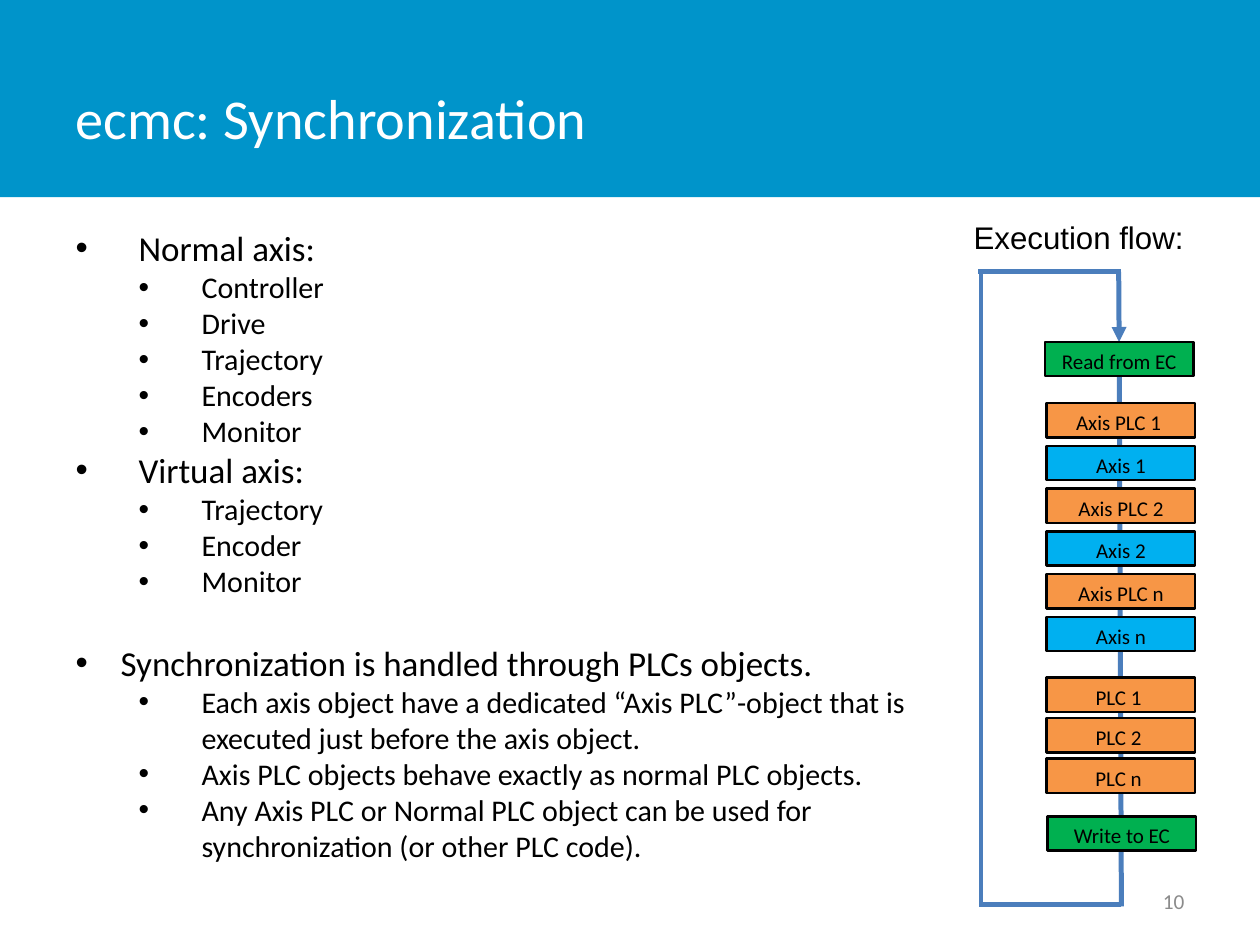
from dataclasses import dataclass

from lxml import etree
from pptx import Presentation
from pptx.dml.color import RGBColor
from pptx.enum.shapes import MSO_CONNECTOR, MSO_SHAPE
from pptx.enum.text import MSO_ANCHOR, MSO_AUTO_SIZE, PP_ALIGN
from pptx.oxml.ns import qn
from pptx.util import Inches, Pt

RECT = MSO_SHAPE.RECTANGLE
STRAIGHT = MSO_CONNECTOR.STRAIGHT
TOP, MIDDLE = MSO_ANCHOR.TOP, MSO_ANCHOR.MIDDLE
LEFT, CENTER, RIGHT = PP_ALIGN.LEFT, PP_ALIGN.CENTER, PP_ALIGN.RIGHT
TOP_SIDE = 0


@dataclass(frozen=True)
class Theme:
    banner: str = "0094CA"
    flow: str = "4B7EBC"
    bus: str = "00B050"
    plc: str = "F79646"
    axis: str = "00B0F0"
    ink: str = "000000"
    paper: str = "FFFFFF"
    muted: str = "8B8B8B"
    body_font: str = "Calibri"
    label_font: str = "Arial"
    title_size: float = 45
    topic_size: float = 28
    detail_size: float = 24
    label_size: float = 25
    step_size: float = 16.8
    number_size: float = 17
    flow_width: float = 4
    border_width: float = 2


def write(paragraph, text, *, size, color, font, align=LEFT, level=0,
          indent=None, hanging=0, before=0):
    paragraph.alignment = align
    paragraph.level = level
    if before:
        paragraph.space_before = Pt(before)
    if indent is not None:
        properties = paragraph._p.get_or_add_pPr()
        properties.set("marL", str(Inches(indent)))
        properties.set("indent", str(-Inches(hanging)))
        etree.SubElement(properties, qn("a:buFont")).set("typeface", "Arial")
        etree.SubElement(properties, qn("a:buChar")).set("char", "•")
    run = paragraph.add_run()
    run.text = text
    run.font.size = Pt(size)
    run.font.name = font
    run.font.color.rgb = RGBColor.from_string(color)


class FlowSlide:
    def __init__(self, slide, theme):
        self.slide = slide
        self.theme = theme

    def set_frame(self, frame, inset_x, inset_y, anchor=TOP):
        frame.margin_left = frame.margin_right = Inches(inset_x)
        frame.margin_top = frame.margin_bottom = Inches(inset_y)
        frame.vertical_anchor = anchor
        frame.word_wrap = True

    def rectangle(self, x, y, width, height, fill):
        rectangle = self.slide.shapes.add_shape(
            RECT, Inches(x), Inches(y), Inches(width), Inches(height))
        rectangle.shadow.inherit = False
        rectangle.fill.solid()
        rectangle.fill.fore_color.rgb = RGBColor.from_string(fill)
        rectangle.line.fill.background()
        return rectangle

    def step(self, x, y, label, fill):
        step = self.rectangle(x, y, 1.65, 0.38, fill)
        step.line.color.rgb = RGBColor.from_string(self.theme.ink)
        step.line.width = Pt(self.theme.border_width)
        self.set_frame(step.text_frame, 0.13, 0.07)
        write(step.text_frame.paragraphs[0], label, size=self.theme.step_size,
              color=self.theme.ink, font=self.theme.body_font, align=CENTER)
        return step

    def text_area(self, x, y, width, height, anchor=TOP):
        area = self.slide.shapes.add_textbox(
            Inches(x), Inches(y), Inches(width), Inches(height))
        self.set_frame(area.text_frame, 0.14, 0.07, anchor)
        return area.text_frame

    def line_of_text(self, x, y, width, height, text, **text_format):
        frame = self.text_area(x, y, width, height, MIDDLE)
        write(frame.paragraphs[0], text, font=self.theme.body_font, **text_format)

    def label(self, x, y, width, height, text):
        frame = self.text_area(x, y, width, height)
        self.set_frame(frame, 0.1, 0.05)
        frame.word_wrap = False
        frame.auto_size = MSO_AUTO_SIZE.SHAPE_TO_FIT_TEXT
        write(frame.paragraphs[0], text, size=self.theme.label_size,
              color=self.theme.ink, font=self.theme.label_font)

    def outline(self, x, y, width, height, topics):
        frame = self.text_area(x, y, width, height)
        style = {"color": self.theme.ink, "font": self.theme.body_font}
        paragraph = frame.paragraphs[0]
        for topic, indent, before, details in topics:
            if paragraph is None:
                paragraph = frame.add_paragraph()
            write(paragraph, topic, size=self.theme.topic_size, indent=indent,
                  hanging=indent, before=before, **style)
            for detail in details:
                write(frame.add_paragraph(), detail, size=self.theme.detail_size,
                      level=1, indent=1.4, hanging=0.7, **style)
            paragraph = None

    def flow_line(self, start, end, arrow=False):
        line = self.slide.shapes.add_connector(
            STRAIGHT, *(Inches(value) for value in (*start, *end)))
        line.line.color.rgb = RGBColor.from_string(self.theme.flow)
        line.line.width = Pt(self.theme.flow_width)
        if arrow:
            head = etree.SubElement(line.line._get_or_add_ln(), qn("a:tailEnd"))
            head.set("type", "triangle")
        etree.SubElement(line._element.spPr, qn("a:effectLst"))
        return line


TOPICS = [
    ("Normal axis:", 0.7, 0,
     ["Controller", "Drive", "Trajectory", "Encoders", "Monitor"]),
    ("Virtual axis:", 0.7, 0, ["Trajectory", "Encoder", "Monitor"]),
    ("Synchronization is handled through PLCs objects.", 0.5, 34, [
        "Each axis object have a dedicated “Axis PLC”-object that is "
        "executed just before the axis object.",
        "Axis PLC objects behave exactly as normal PLC objects.",
        "Any Axis PLC or Normal PLC object can be used for "
        "synchronization (or other PLC code).",
    ]),
]


def main():
    theme = Theme()
    deck = Presentation()
    deck.slide_width, deck.slide_height = Inches(14), Inches(10.5)
    page = FlowSlide(deck.slides.add_slide(deck.slide_layouts[6]), theme)

    page.rectangle(0, 0, 14, 2.19, theme.banner)
    spine = page.flow_line((12.43, 3.8), (12.46, 10.07))
    page.line_of_text(0.7, 0.42, 10.93, 1.75, "ecmc: Synchronization",
                      size=theme.title_size, color=theme.paper)
    page.outline(0.7, 2.45, 10.06, 6.93, TOPICS)
    page.line_of_text(10.03, 9.73, 3.27, 0.56, "10", size=theme.number_size,
                      color=theme.muted, align=RIGHT)

    axis_steps = [("Axis PLC 1 ", theme.plc), ("Axis 1", theme.axis),
                  ("Axis PLC 2", theme.plc), ("Axis 2", theme.axis),
                  ("Axis PLC n", theme.plc), ("Axis n", theme.axis)]
    for row, (name, fill) in enumerate(axis_steps):
        page.step(11.63, 4.48 + 0.475 * row, name, fill)
    for row, name in enumerate(["PLC 1 ", "PLC 2 ", "PLC n "]):
        page.step(11.63, 7.53 + 0.45 * row, name, theme.plc)

    loop_entry = page.flow_line((12.43, 3.02), (12.43, 3.8), arrow=True)
    page.flow_line((12.46, 10.05), (10.88, 10.05))
    page.flow_line((10.9, 10.06), (10.9, 3.01))
    page.flow_line((12.45, 3.02), (10.87, 3.02))

    read_step = page.step(11.61, 3.8, "Read from EC", theme.bus)
    page.step(11.64, 9.07, "Write to EC", theme.bus)
    spine.begin_connect(read_step, TOP_SIDE)
    loop_entry.end_connect(read_step, TOP_SIDE)
    page.label(10.72, 2.38, 2.56, 0.52, "Execution flow:")

    deck.save("out.pptx")


if __name__ == "__main__":
    main()
